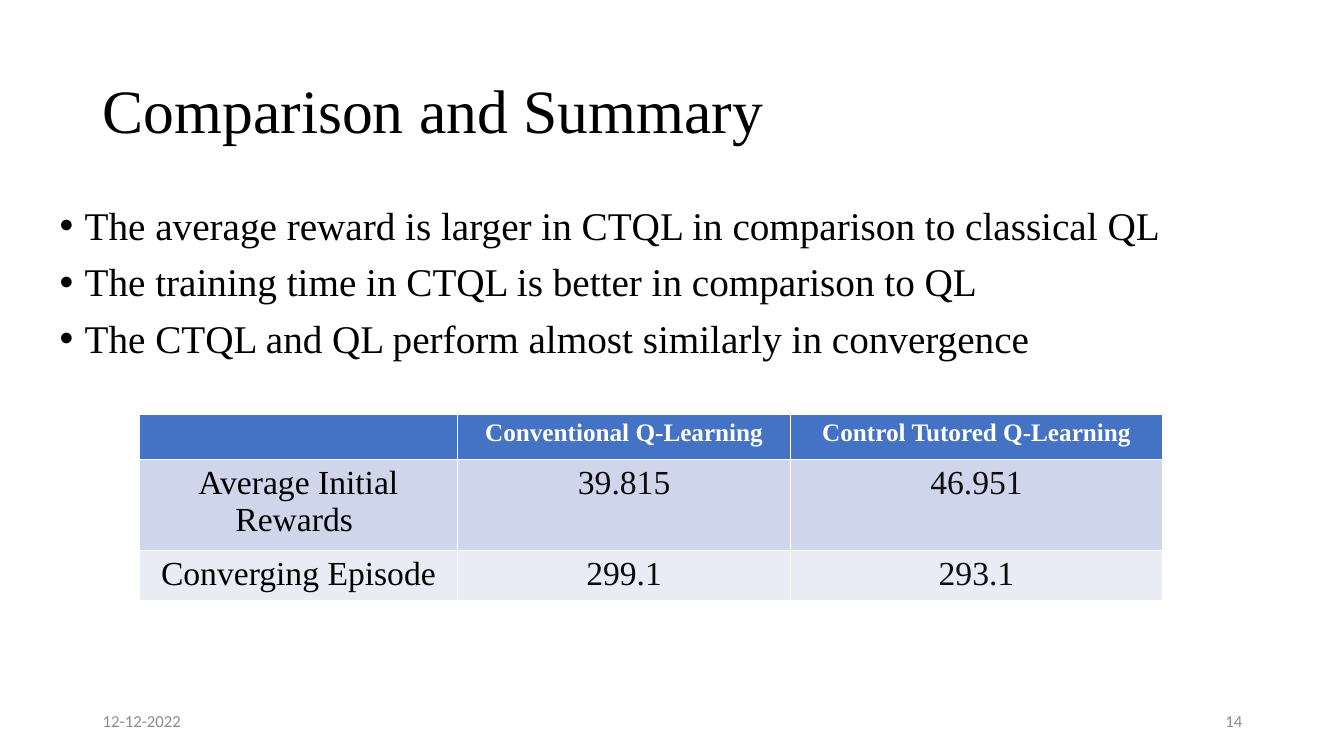
from pptx import Presentation
from pptx.dml.color import RGBColor
from pptx.enum.text import MSO_ANCHOR, MSO_AUTO_SIZE, PP_ALIGN
from pptx.util import Inches, Pt

LEFT, CENTER, RIGHT = PP_ALIGN.LEFT, PP_ALIGN.CENTER, PP_ALIGN.RIGHT
TOP, MIDDLE = MSO_ANCHOR.TOP, MSO_ANCHOR.MIDDLE
NO_FIT = MSO_AUTO_SIZE.NONE

SERIF, SANS = "Times New Roman", "Calibri"
BLACK, NEAR_BLACK, WHITE, GREY = "000000", "0D0D0D", "FFFFFF", "8C8C8C"
ROW_FILLS = ["4472C4", "CFD5EA", "E9EBF5"]

WIDTH, HEIGHT = 13.33, 7.5
MARGIN = 0.92
CONTENT_WIDTH = 11.5
FOOTER_WIDTH = 3

FINDINGS = [
    "The average reward is larger in CTQL in comparison to classical QL",
    "The training time in CTQL is better in comparison to QL",
    "The CTQL and QL perform almost similarly in convergence",
]
RESULTS = [
    ["", "Conventional Q-Learning", "Control Tutored Q-Learning"],
    ["Average Initial Rewards ", "39.815", "46.951"],
    ["Converging Episode", "299.1", "293.1"],
]
COLUMN_WIDTHS = [3.16, 3.3, 3.69]
ROW_HEIGHTS = [0.45, 0.83, 0.46]


def color(hex_value):
    return RGBColor.from_string(hex_value)


def place(shape, left, top, width, height):
    shape.left, shape.top = Inches(left), Inches(top)
    shape.width, shape.height = Inches(width), Inches(height)


def style(paragraph, font, size, hex_value, align=LEFT, bold=False):
    paragraph.alignment = align
    for run in paragraph.runs:
        run.font.name = font
        run.font.size = Pt(size)
        run.font.bold = bold
        run.font.color.rgb = color(hex_value)


def fill_title(title, text):
    place(title, MARGIN, 0.4, CONTENT_WIDTH, 1.45)
    frame = title.text_frame
    frame.text = text
    frame.auto_size = NO_FIT
    frame.vertical_anchor = MIDDLE
    heading = frame.paragraphs[0]
    heading.line_spacing = 0.9
    style(heading, SERIF, 44, BLACK)


def fill_findings(body, findings):
    place(body, 0.49, 2, 11.93, 4.84)
    frame = body.text_frame
    frame.text = "\n".join(findings)
    frame.auto_size = NO_FIT
    frame.vertical_anchor = TOP
    for finding in frame.paragraphs:
        finding.line_spacing = 0.9
        finding.space_before = Pt(10)
        properties = finding._p.get_or_add_pPr()
        properties.set("marL", str(Inches(0.25)))
        properties.set("indent", str(-Inches(0.25)))
        style(finding, SERIF, 28, BLACK)


def add_footer(slide, left, text, align):
    footer = slide.shapes.add_textbox(0, 0, 0, 0)
    place(footer, left, 6.95, FOOTER_WIDTH, 0.4)
    frame = footer.text_frame
    frame.text = text
    frame.word_wrap = True
    frame.vertical_anchor = MIDDLE
    style(frame.paragraphs[0], SANS, 12, GREY, align)


def add_results(slide, results):
    table = slide.shapes.add_table(
        len(results), len(results[0]), Inches(1.38), Inches(4.11),
        Inches(sum(COLUMN_WIDTHS)), Inches(sum(ROW_HEIGHTS))).table
    for column, width in zip(table.columns, COLUMN_WIDTHS):
        column.width = Inches(width)
    for r, (row, height) in enumerate(zip(table.rows, ROW_HEIGHTS)):
        row.height = Inches(height)
        is_header = r == 0
        for c, cell in enumerate(row.cells):
            cell.text = results[r][c]
            cell.fill.solid()
            cell.fill.fore_color.rgb = color(ROW_FILLS[r])
            ink = WHITE if is_header else BLACK if c == 0 else NEAR_BLACK
            style(cell.text_frame.paragraphs[0], SERIF,
                  18 if is_header else 24, ink, CENTER, is_header)


def main():
    deck = Presentation()
    deck.slide_width, deck.slide_height = Inches(WIDTH), Inches(HEIGHT)
    slide = deck.slides.add_slide(deck.slide_layouts[1])
    fill_title(slide.shapes.title, "Comparison and Summary")
    fill_findings(slide.placeholders[1], FINDINGS)
    add_footer(slide, MARGIN, "12-12-2022", LEFT)
    add_footer(slide, MARGIN + CONTENT_WIDTH - FOOTER_WIDTH, "14", RIGHT)
    add_results(slide, RESULTS)
    deck.save("out.pptx")


if __name__ == "__main__":
    main()
